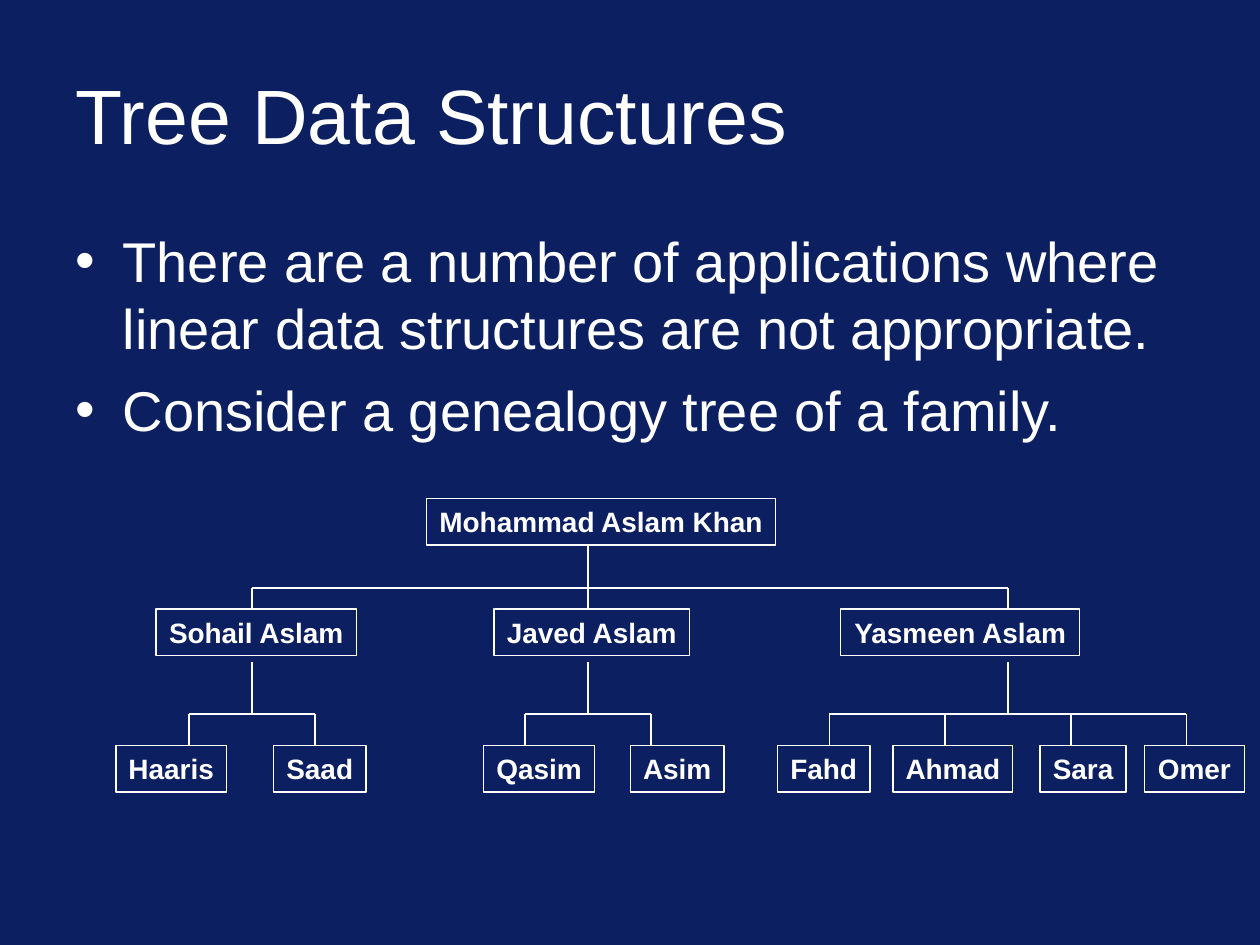
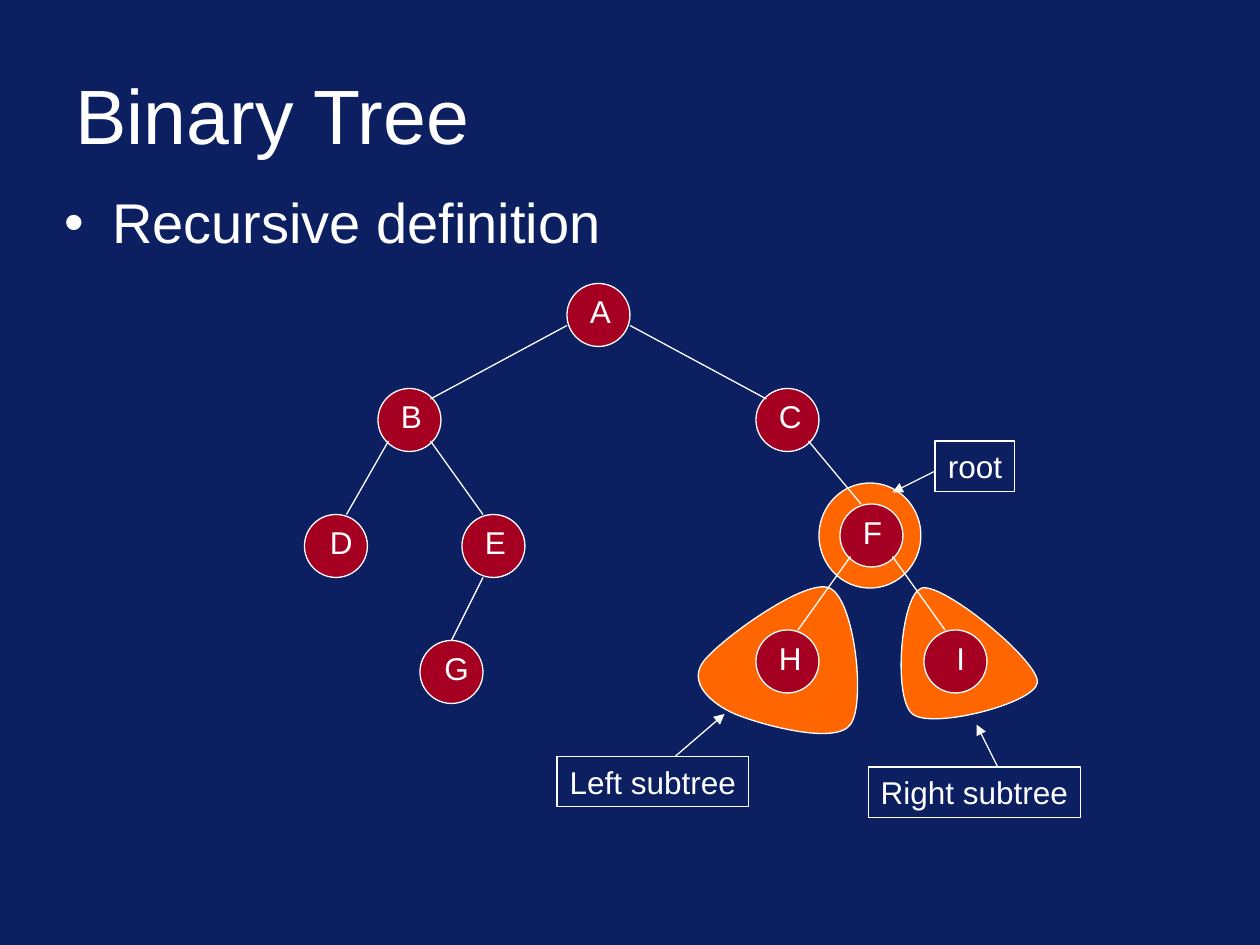
from dataclasses import dataclass
from typing import NamedTuple, Optional

from lxml import etree
from pptx import Presentation
from pptx.dml.color import RGBColor
from pptx.enum.shapes import MSO_CONNECTOR, MSO_SHAPE
from pptx.enum.text import MSO_ANCHOR, MSO_AUTO_SIZE, PP_ALIGN
from pptx.oxml.ns import qn
from pptx.util import Inches, Pt

RECTANGLE = MSO_SHAPE.RECTANGLE
ELLIPSE = MSO_SHAPE.OVAL
STRAIGHT = MSO_CONNECTOR.STRAIGHT
MIDDLE, TOP = MSO_ANCHOR.MIDDLE, MSO_ANCHOR.TOP
LEFT, CENTER = PP_ALIGN.LEFT, PP_ALIGN.CENTER
FIT_SHAPE, FIXED = MSO_AUTO_SIZE.SHAPE_TO_FIT_TEXT, MSO_AUTO_SIZE.NONE

NAVY = RGBColor(0x0B, 0x1F, 0x61)
WHITE = RGBColor(0xFF, 0xFF, 0xFF)
ORANGE = RGBColor(0xFF, 0x66, 0x00)
CRIMSON = RGBColor(0xA5, 0x00, 0x21)

FONT = "Arial"
LINE_WIDTH = Pt(0.75)
BULLET_INDENT = Pt(27)
COLUMNS = 120  # the slide is a grid of square cells, 120 by 90
SLIDE_WIDTH, SLIDE_HEIGHT = Inches(10), Inches(7.5)
CELL = SLIDE_WIDTH // COLUMNS


class Point(NamedTuple):
    column: float
    row: float


class Area(NamedTuple):
    column: float
    row: float
    width: float
    height: float


class Curve(NamedTuple):
    """Cubic curve: two control points and the end."""
    leave: Point
    arrive: Point
    end: Point


@dataclass(frozen=True)
class Person:
    name: str
    column: float
    width: float
    drop: float  # column of the lines above and below the box
    children: tuple["Person", ...] = ()


class Generation(NamedTuple):
    box_row: float
    trunk_row: float
    bus_row: float


@dataclass(frozen=True)
class Node:
    letter: str
    column: float
    row: float
    label_width: float = 4


@dataclass(frozen=True)
class Callout:
    text: str
    area: Area
    start: Point
    tip: Point


TITLE_AREA = Area(6, 4.8, 108, 12)
BOX_HEIGHT = 4.45
GENERATIONS = (Generation(47.45, 52, 56), Generation(58, 63, 68), Generation(71, 76, 80))
FAMILY = Person("Mohammad Aslam Khan", 40.65, 33.2, 56, (
    Person("Sohail Aslam", 14.85, 19.1, 24, (
        Person("Haaris", 11.05, 10.5, 18),
        Person("Saad", 26.05, 8.8, 30),
    )),
    Person("Javed Aslam", 47.05, 18.6, 56, (
        Person("Qasim", 46.05, 10.6, 50),
        Person("Asim", 60.05, 8.9, 62),
    )),
    Person("Yasmeen Aslam", 80.05, 22.8, 96, (
        Person("Fahd", 74.05, 8.8, 79),
        Person("Ahmad", 85.05, 11.4, 90),
        Person("Sara", 99.05, 8.2, 102),
        Person("Omer", 109, 9.5, 113),
    )),
))

NODE_SIZE = 6
NODES = (
    Node("A", 54, 27), Node("B", 36, 37), Node("C", 72, 37),
    Node("D", 29, 49, 5), Node("E", 44, 49), Node("F", 80, 48),
    Node("G", 40, 61, 5), Node("H", 72, 60), Node("I", 88, 60, 5),
)
EDGES = (
    (Point(54, 31), Point(41, 38)), (Point(60, 31), Point(73, 38)),
    (Point(37, 42), Point(33, 49)), (Point(41, 42), Point(46, 49)),
    (Point(46, 55), Point(43, 61)), (Point(77, 42), Point(82, 48)),
    (Point(81, 53), Point(76, 60)), (Point(85, 53), Point(90, 60)),
)
ROOT_HALO = Area(78, 46, 9.7, 10)
LEFT_SUBTREE = (
    Curve(Point(76.7, 55), Point(68.5, 61), Point(67, 63)),
    Curve(Point(65.5, 65), Point(67.7, 67), Point(70, 68)),
    Curve(Point(72.4, 69), Point(79.6, 71), Point(81, 69)),
    Curve(Point(82.5, 67), Point(81.4, 57), Point(79, 56)),
)
RIGHT_SUBTREE = (
    Curve(Point(85.8, 56.5), Point(85, 66.5), Point(86.9, 68)),
    Curve(Point(88.7, 69.5), Point(98.6, 67), Point(98.8, 65)),
    Curve(Point(99, 63), Point(89.9, 55.5), Point(87.8, 56)),
)
CALLOUTS = (
    Callout("root", Area(89.05, 42, 7.6, 4.8), Point(89, 44.9), Point(85, 46.9)),
    Callout("Right subtree", Area(82.7, 73.05, 20.2, 4.8), Point(95, 73), Point(93, 69)),
    Callout("Left subtree", Area(53.05, 72.05, 18.25, 4.8), Point(64.35, 72), Point(69, 68)),
)


def cells(count: float) -> int:
    return round(count * CELL)


def place(box, area: Area) -> None:
    box.left, box.top, box.width, box.height = map(cells, area)


def write(frame, *lines: str, size: float, bold: bool = False, align=LEFT, anchor=TOP,
          wrap: bool = True, fit=FIXED, space_before: float = 0, line_spacing: float = 1.0,
          bullet: bool = False) -> None:
    """Fill a text frame with one paragraph for each line."""
    frame.word_wrap, frame.auto_size, frame.vertical_anchor = wrap, fit, anchor
    for index, line in enumerate(lines):
        para = frame.add_paragraph() if index else frame.paragraphs[0]
        para.alignment, para.line_spacing = align, line_spacing
        para.space_before = Pt(space_before)
        span = para.add_run()
        span.text = line
        span.font.name, span.font.size, span.font.bold = FONT, Pt(size), bold
        span.font.color.rgb = WHITE
        if bullet:
            add_bullet(para)


def add_bullet(para) -> None:
    settings = para._p.get_or_add_pPr()
    settings.set("marL", str(BULLET_INDENT))
    settings.set("indent", str(-BULLET_INDENT))
    etree.SubElement(settings, qn("a:buFont")).set("typeface", FONT)
    etree.SubElement(settings, qn("a:buChar")).set("char", "•")


def style(shape, fill: Optional[RGBColor] = None) -> None:
    shape.shadow.inherit = False
    shape.line.color.rgb, shape.line.width = WHITE, LINE_WIDTH
    if fill is None:
        shape.fill.background()
    else:
        shape.fill.solid()
        shape.fill.fore_color.rgb = fill


def add_shape(page, kind, area: Area, fill: Optional[RGBColor] = None):
    shape = page.shapes.add_shape(kind, *map(cells, area))
    style(shape, fill)
    return shape


def add_label_box(page, text: str, area: Area, size: float, bold: bool = False) -> None:
    box = add_shape(page, RECTANGLE, area)
    write(box.text_frame, text, size=size, bold=bold, align=CENTER, wrap=False, fit=FIT_SHAPE)


def add_line(page, start: Point, end: Point, arrow: bool = False) -> None:
    line = page.shapes.add_connector(STRAIGHT, *map(cells, (*start, *end)))
    line.line.color.rgb, line.line.width = WHITE, LINE_WIDTH
    if arrow:
        etree.SubElement(line.line._get_or_add_ln(), qn("a:tailEnd")).set("type", "triangle")
    etree.SubElement(line._element.spPr, qn("a:effectLst"))


def add_page(deck, title: str, bullets: tuple[str, ...], area: Area, line_spacing: float = 1.0):
    page = deck.slides.add_slide(deck.slide_layouts.get_by_name("Title Only"))
    place(page.shapes.title, TITLE_AREA)
    write(page.shapes.title.text_frame, title, size=44, anchor=MIDDLE)
    body = page.shapes.add_textbox(*map(cells, area))
    write(body.text_frame, *bullets, size=32, space_before=8,
          line_spacing=line_spacing, bullet=True)
    return page


def add_family(page, person: Person, depth: int = 0) -> None:
    """Draw a person, the lines down to the children, and the children."""
    level = GENERATIONS[depth]
    add_label_box(page, person.name,
                  Area(person.column, level.box_row, person.width, BOX_HEIGHT), 16, bold=True)
    if not person.children:
        return
    add_line(page, Point(person.drop, level.trunk_row), Point(person.drop, level.bus_row))
    add_line(page, Point(person.children[0].drop, level.bus_row),
             Point(person.children[-1].drop, level.bus_row))
    for child in person.children:
        add_line(page, Point(child.drop, level.bus_row),
                 Point(child.drop, GENERATIONS[depth + 1].box_row))
        add_family(page, child, depth + 1)


def add_subtree(page, curves: tuple[Curve, ...]) -> None:
    """Draw a closed curved outline that begins where its last curve ends."""
    builder = page.shapes.build_freeform(*map(cells, curves[-1].end))
    builder.add_line_segments([tuple(map(cells, point)) for curve in curves for point in curve])
    shape = builder.convert_to_shape()
    segments = list(shape._element.iter(qn("a:lnTo")))
    for first in range(0, 3 * len(curves), 3):
        bend = etree.Element(qn("a:cubicBezTo"))
        segments[first].addprevious(bend)
        for segment in segments[first:first + 3]:
            bend.append(segment[0])
            segment.getparent().remove(segment)
    style(shape, ORANGE)


def add_node(page, node: Node) -> None:
    add_shape(page, ELLIPSE, Area(node.column, node.row, NODE_SIZE, NODE_SIZE), CRIMSON)
    label = page.shapes.add_textbox(
        *map(cells, Area(node.column + 1, node.row + 0.25, node.label_width, 4.8)))
    write(label.text_frame, node.letter, size=18, align=CENTER, fit=FIT_SHAPE)


def build_genealogy(deck) -> None:
    page = add_page(deck, "Tree Data Structures", (
        "There are a number of applications where linear data structures are not appropriate.",
        "Consider a genealogy tree of a family.",
    ), Area(6, 21, 108, 23))
    add_family(page, FAMILY)


def build_binary_tree(deck) -> None:
    page = add_page(deck, "Binary Tree", ("Recursive definition",),
                    Area(5, 18, 108, 7), line_spacing=0.9)
    for outline in (LEFT_SUBTREE, RIGHT_SUBTREE):
        add_subtree(page, outline)
    add_shape(page, ELLIPSE, ROOT_HALO, ORANGE)
    for node in NODES:
        add_node(page, node)
    for start, end in EDGES:
        add_line(page, start, end)
    for callout in CALLOUTS:
        add_label_box(page, callout.text, callout.area, 18)
        add_line(page, callout.start, callout.tip, arrow=True)


def main() -> None:
    deck = Presentation()
    deck.slide_width, deck.slide_height = SLIDE_WIDTH, SLIDE_HEIGHT
    background = deck.slide_master.background.fill
    background.solid()
    background.fore_color.rgb = NAVY
    build_genealogy(deck)
    build_binary_tree(deck)
    deck.save("out.pptx")


if __name__ == "__main__":
    main()
